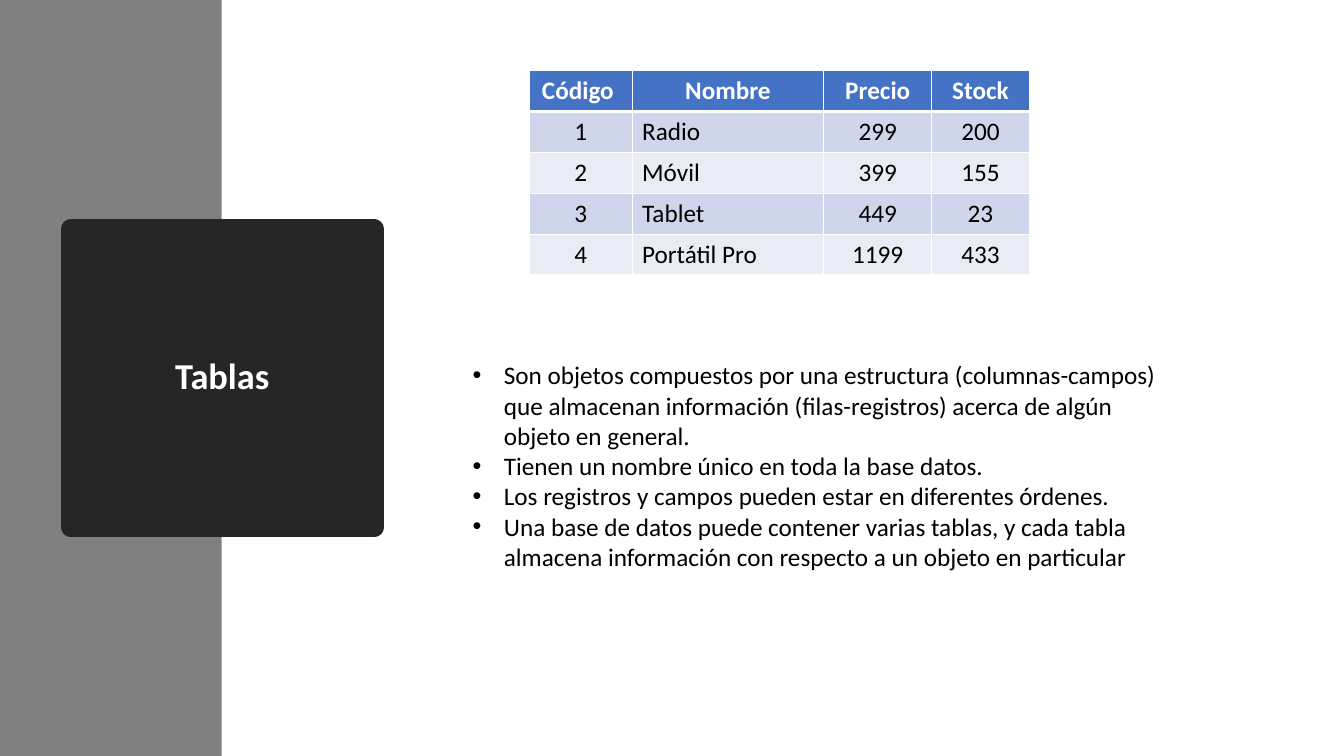
from dataclasses import dataclass

from lxml.etree import SubElement
from pptx import Presentation
from pptx.dml.color import RGBColor
from pptx.enum.shapes import MSO_SHAPE
from pptx.enum.text import MSO_ANCHOR, MSO_AUTO_SIZE, PP_ALIGN
from pptx.oxml.ns import qn
from pptx.slide import Slide
from pptx.table import _Cell
from pptx.text.text import TextFrame
from pptx.util import Cm, Pt

WHITE = RGBColor(0xFF, 0xFF, 0xFF)
BLACK = RGBColor(0x00, 0x00, 0x00)
GRAY = RGBColor(0x80, 0x80, 0x80)
CHARCOAL = RGBColor(0x26, 0x26, 0x26)
BLUE = RGBColor(0x44, 0x72, 0xC4)
BAND_DARK = RGBColor(0xCF, 0xD5, 0xEA)
BAND_LIGHT = RGBColor(0xE9, 0xEB, 0xF5)


@dataclass(frozen=True)
class Column:
    """A table column with its heading, width, alignment and values."""

    heading: str
    width: float
    alignment: PP_ALIGN
    values: tuple[str, ...]


ROW_HEIGHT = 1.03
COLUMNS = (
    Column("Código ", 2.59, PP_ALIGN.CENTER, ("1", "2", "3", "4")),
    Column("Nombre", 4.83, PP_ALIGN.LEFT, ("Radio", "Móvil", "Tablet", "Portátil Pro")),
    Column("Precio", 2.72, PP_ALIGN.CENTER, ("299", "399", "449", "1199")),
    Column("Stock", 2.46, PP_ALIGN.CENTER, ("200", "155", "23", "433")),
)
BULLETS = (
    "Son objetos compuestos por una estructura (columnas-campos) que almacenan "
    "información (filas-registros) acerca de algún objeto en general.",
    "Tienen un nombre único en toda la base datos.",
    "Los registros y campos pueden estar en diferentes órdenes.",
    "Una base de datos puede contener varias tablas, y cada tabla almacena "
    "información con respecto a un objeto en particular",
)


def write_text(
    frame: TextFrame,
    *lines: str,
    size: float = 18,
    color: RGBColor = BLACK,
    bold: bool = False,
    alignment: PP_ALIGN = PP_ALIGN.LEFT,
    bulleted: bool = False,
) -> None:
    """Write each line as a formatted paragraph."""
    for index, line in enumerate(lines):
        paragraph = frame.add_paragraph() if index else frame.paragraphs[0]
        paragraph.alignment = alignment
        run = paragraph.add_run()
        run.text = line
        run.font.name = "Calibri"
        run.font.size = Pt(size)
        run.font.bold = bold
        run.font.color.rgb = color
        if bulleted:
            properties = paragraph._p.get_or_add_pPr()
            properties.set("marL", str(Cm(0.79)))
            properties.set("indent", str(-Cm(0.79)))
            SubElement(properties, qn("a:buFont"), typeface="Arial")
            SubElement(properties, qn("a:buChar"), char="•")


def add_side_band(slide: Slide) -> None:
    """Draw the gray band along the left edge."""
    band = slide.shapes.add_shape(MSO_SHAPE.RECTANGLE, 0, 0, Cm(5.59), Cm(19.05))
    band.shadow.inherit = False
    band.fill.solid()
    band.fill.fore_color.rgb = GRAY
    band.line.fill.background()


def format_title(slide: Slide) -> None:
    """Turn the title placeholder into a dark circle above the band."""
    title = slide.shapes.title
    title.left, title.top, title.width, title.height = Cm(1.78), Cm(5.77), Cm(7.65), Cm(7.52)
    geometry = SubElement(title._element.spPr, qn("a:prstGeom"), prst="ellipse")
    SubElement(geometry, qn("a:avLst"))
    title.fill.solid()
    title.fill.fore_color.rgb = CHARCOAL
    title.line.color.rgb = CHARCOAL
    title.line.width = Pt(13.75)
    frame = title.text_frame
    frame.auto_size = MSO_AUTO_SIZE.NONE
    frame.vertical_anchor = MSO_ANCHOR.MIDDLE
    write_text(frame, "Tablas", size=26, color=WHITE, bold=True, alignment=PP_ALIGN.CENTER)
    frame.paragraphs[0].line_spacing = 0.9
    frame.paragraphs[0].space_after = Pt(6)
    slide.shapes._spTree.append(title._element)


def add_bullets(slide: Slide) -> None:
    """Add the list that explains tables."""
    box = slide.shapes.add_textbox(Cm(11.66), Cm(8.94), Cm(18.39), Cm(5.64))
    box.text_frame.word_wrap = True
    write_text(box.text_frame, *BULLETS, bulleted=True)


def set_borders(cell: _Cell, top: float, bottom: float) -> None:
    """Give a cell white borders with the given top and bottom widths."""
    properties = cell._tc.get_or_add_tcPr()
    for side, width in (("L", 1), ("R", 1), ("T", top), ("B", bottom)):
        line = SubElement(properties, qn(f"a:ln{side}"), w=str(Pt(width)))
        fill = SubElement(line, qn("a:solidFill"))
        SubElement(fill, qn("a:srgbClr"), val=str(WHITE))


def add_product_table(slide: Slide) -> None:
    """Add the product table with banded rows."""
    row_count = len(COLUMNS[0].values) + 1
    width = sum(column.width for column in COLUMNS)
    table = slide.shapes.add_table(
        row_count, len(COLUMNS), Cm(13.34), Cm(1.78), Cm(width), Cm(ROW_HEIGHT * row_count)
    ).table
    for column_index, column in enumerate(COLUMNS):
        table.columns[column_index].width = Cm(column.width)
        for row_index, text in enumerate((column.heading, *column.values)):
            is_header = row_index == 0
            cell = table.cell(row_index, column_index)
            set_borders(cell, top=3 if row_index == 1 else 1, bottom=3 if is_header else 1)
            cell.fill.solid()
            band_color = BAND_DARK if row_index % 2 else BAND_LIGHT
            cell.fill.fore_color.rgb = BLUE if is_header else band_color
            write_text(
                cell.text_frame,
                text,
                color=WHITE if is_header else BLACK,
                bold=is_header,
                alignment=PP_ALIGN.CENTER if is_header else column.alignment,
            )


def main() -> None:
    """Build and save the slide."""
    presentation = Presentation()
    presentation.slide_width, presentation.slide_height = Cm(33.87), Cm(19.05)
    slide = presentation.slides.add_slide(presentation.slide_layouts[5])
    add_side_band(slide)
    format_title(slide)
    add_bullets(slide)
    add_product_table(slide)
    presentation.save("out.pptx")


if __name__ == "__main__":
    main()
